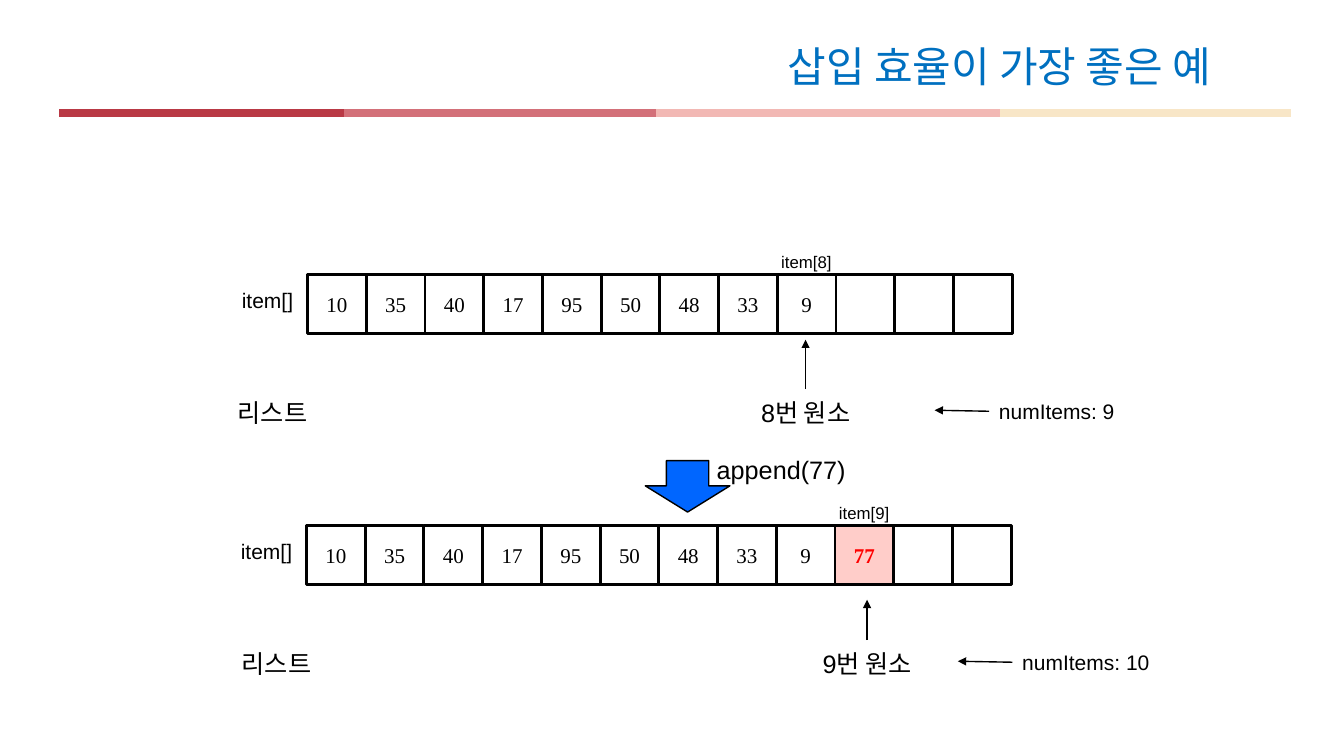
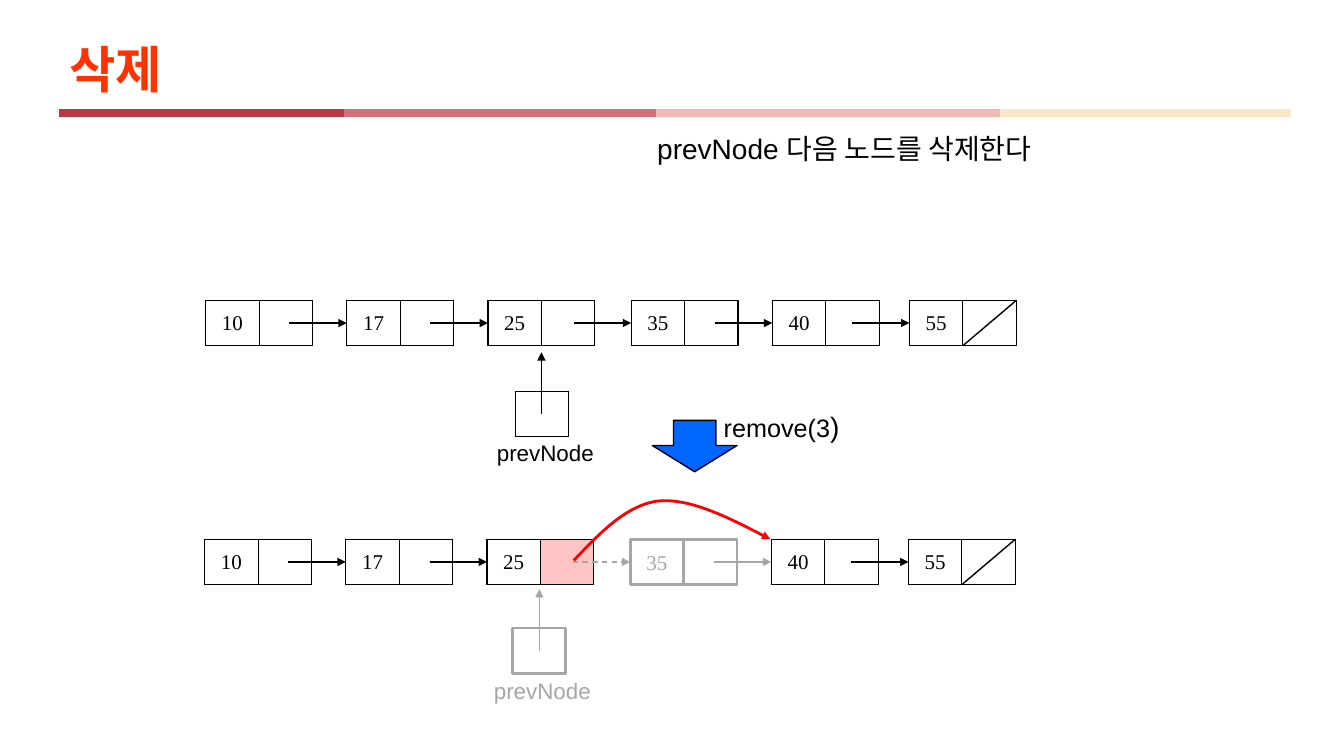
from dataclasses import dataclass
from typing import Any, Optional

import lxml.etree
import pptx
import pptx.dml.color
import pptx.enum.dml
import pptx.enum.shapes
import pptx.enum.text
import pptx.oxml.ns
import pptx.util

Inches = pptx.util.Inches
Pt = pptx.util.Pt
qn = pptx.oxml.ns.qn
SHAPE = pptx.enum.shapes.MSO_SHAPE
ALIGN = pptx.enum.text.PP_ALIGN
MIDDLE = pptx.enum.text.MSO_ANCHOR.MIDDLE
AUTO_SIZE = pptx.enum.text.MSO_AUTO_SIZE

COLORS = {
    "black": "000000", "gray": "A6A6A6", "red": "FF0000", "arrow": "0066FF",
    "new_cell": "FFCDC9", "changed_link": "FFC5C5",
    "blue_title": "0070C0", "orange_title": "FF3300",
    "band1": "B93945", "band2": "D37079", "band3": "F2B8B4", "band4": "F8E6C7",
}
SANS, SERIF, KOREAN = "Arial", "Times New Roman", "Noto Sans CJK KR"

BAND_Y = 1.12
BAND_STOPS = (0.59, 3.41, 6.51, 9.92, 12.8)

SLOTS = 12
SLOT_W, SLOT_H = 6.99 / SLOTS, 0.59

NODE_OFFSETS = (0, 1.4, 2.8, 4.22, 5.62, 6.98)
NODE_VALUES = (10, 17, 25, 35, 40, 55)
FIELD_W, NODE_H = 0.53, 0.45
LINK_LEN = 0.57


@dataclass
class ArrayState:
    left: float
    top: float
    values: tuple[int, ...]
    list_x: float
    element_x: float
    count_x: float
    count_w: float
    pointer_len: float
    has_new: bool = False


@dataclass
class ListState:
    left: float
    top: float
    removed: Optional[int] = None


@dataclass
class Pointer:
    """The prevNode variable: its box, its arrow and its label."""
    box_x: float
    box_y: float
    arrow_x: float
    label_x: float
    label_y: float
    color: str


ARRAYS = (
    ArrayState(3.05, 2.72, (10, 35, 40, 17, 95, 50, 48, 33, 9),
               2.26, 7.45, 9.81, 1.36, 0.49),
    ArrayState(3.04, 5.21, (10, 35, 40, 17, 95, 50, 48, 33, 9, 77),
               2.3, 8.06, 10.04, 1.48, 0.4, has_new=True),
)
LISTS = (ListState(2.04, 2.98), ListState(2.03, 5.35, removed=3))
POINTERS = (
    Pointer(5.11, 3.88, 5.37, 4.83, 4.31, "black"),
    Pointer(5.08, 6.23, 5.35, 4.8, 6.67, "gray"),
)


def rgb(color: str) -> pptx.dml.color.RGBColor:
    return pptx.dml.color.RGBColor.from_string(COLORS[color])


def write(tf: Any, text: str, *, size: float, font: str = SANS, color: str = "black",
          bold: bool = False, align: Any = None) -> None:
    """Append a formatted run to the first paragraph."""
    p = tf.paragraphs[0]
    if align is not None:
        p.alignment = align
    r = p.add_run()
    r.text = text
    r.font.size, r.font.name, r.font.bold = Pt(size), font, bold
    r.font.color.rgb = rgb(color)
    lxml.etree.SubElement(r.font._element, qn("a:ea"), typeface=KOREAN)


def write_value(tf: Any, value: int, color: str = "black", bold: bool = False) -> None:
    write(tf, str(value), size=15, font=SERIF, color=color, bold=bold, align=ALIGN.CENTER)


def add_label(slide: Any, x: float, y: float, w: float, h: float, text: str,
              size: float, color: str = "black") -> Any:
    tf = slide.shapes.add_textbox(Inches(x), Inches(y), Inches(w), Inches(h)).text_frame
    tf.word_wrap = False
    tf.auto_size = AUTO_SIZE.SHAPE_TO_FIT_TEXT
    write(tf, text, size=size, color=color)
    return tf


def style_line(sp: Any, color: str, width: float, dashed: bool = False,
               arrow: bool = False) -> None:
    sp.line.color.rgb = rgb(color)
    sp.line.width = Pt(width)
    if dashed:
        sp.line.dash_style = pptx.enum.dml.MSO_LINE.DASH
    if arrow:
        ln = sp._element.spPr.find(qn("a:ln"))
        lxml.etree.SubElement(ln, qn("a:tailEnd"), type="triangle")


def add_line(slide: Any, x1: float, y1: float, x2: float, y2: float,
             color: str = "black", width: float = 1, dashed: bool = False,
             arrow: bool = False) -> Any:
    line = slide.shapes.add_connector(
        pptx.enum.shapes.MSO_CONNECTOR.STRAIGHT,
        Inches(x1), Inches(y1), Inches(x2), Inches(y2))
    style_line(line, color, width, dashed, arrow)
    lxml.etree.SubElement(line._element.spPr, qn("a:effectLst"))
    return line


def set_fill(target: Any, fill: Optional[str]) -> None:
    if fill:
        target.fill.solid()
        target.fill.fore_color.rgb = rgb(fill)
    else:
        target.fill.background()


def add_box(slide: Any, x: float, y: float, w: float, h: float, *,
            kind: Any = SHAPE.RECTANGLE, fill: Optional[str] = None,
            line: str = "black", width: float = 2) -> Any:
    sp = slide.shapes.add_shape(kind, Inches(x), Inches(y), Inches(w), Inches(h))
    sp.shadow.inherit = False
    set_fill(sp, fill)
    style_line(sp, line, width)
    sp.text_frame.vertical_anchor = MIDDLE
    return sp


def add_node(slide: Any, x: float, y: float, fills: tuple[Optional[str], ...],
             value: Optional[int] = None) -> None:
    """Draw a one-row table with a field for each fill."""
    cols = len(fills)
    table = slide.shapes.add_table(1, cols, Inches(x), Inches(y),
                                   Inches(FIELD_W * cols), Inches(NODE_H)).table
    table.first_row = table.horz_banding = False
    for cell, fill in zip(table.iter_cells(), fills):
        cell.margin_left = cell.margin_right = Inches(0.07)
        cell.margin_top = cell.margin_bottom = Inches(0.04)
        cell.vertical_anchor = MIDDLE
        tc_pr = cell._tc.get_or_add_tcPr()
        for side in ("lnL", "lnR", "lnT", "lnB"):
            ln = lxml.etree.SubElement(tc_pr, qn(f"a:{side}"), w=str(int(Pt(1))))
            solid = lxml.etree.SubElement(ln, qn("a:solidFill"))
            lxml.etree.SubElement(solid, qn("a:srgbClr"), val=COLORS["black"])
        set_fill(cell, fill)
    if value is not None:
        write_value(table.cell(0, 0).text_frame, value)


def add_step_arrow(slide: Any, x: float, y: float) -> None:
    sp = add_box(slide, x, y, 0.84, 0.51, kind=SHAPE.DOWN_ARROW, fill="arrow", width=1)
    sp.adjustments[0], sp.adjustments[1] = 0.5, 0.51


def add_title_slide(prs: Any, text: str, left: float, top: float, width: float,
                    **text_format: Any) -> Any:
    slide = prs.slides.add_slide(prs.slide_layouts[5])
    title = slide.shapes.title
    title.left, title.top = Inches(left), Inches(top)
    title.width, title.height = Inches(width), Inches(0.79)
    tf = title.text_frame
    tf.auto_size = AUTO_SIZE.NONE
    tf.vertical_anchor = MIDDLE
    tf.paragraphs[0].line_spacing = 0.9
    write(tf, text, font=KOREAN, align=ALIGN.LEFT, **text_format)
    return slide


def put_band_on_layout(slide: Any) -> None:
    """Draw the band under the title and move it to the layout that slides share."""
    for i, (x1, x2) in enumerate(zip(BAND_STOPS, BAND_STOPS[1:]), start=1):
        line = add_line(slide, x1, BAND_Y, x2, BAND_Y, f"band{i}", 6)
        line._element.nvCxnSpPr.cNvPr.set("id", str(100 + i))
        slide.slide_layout.shapes._spTree.append(line._element)


def draw_array(slide: Any, a: ArrayState) -> None:
    last = len(a.values) - 1
    for i in range(SLOTS):
        is_new = a.has_new and i == last
        sp = add_box(slide, a.left + i * SLOT_W, a.top, SLOT_W, SLOT_H,
                     fill="new_cell" if is_new else None)
        if i <= last:
            write_value(sp.text_frame, a.values[i], "red" if is_new else "black", is_new)
    label_y = a.top + 1.17
    add_label(slide, a.left - 0.75, a.top + 0.08, 0.72, 0.35, "item[]", 15)
    add_label(slide, a.left + last * SLOT_W - 0.06, a.top - 0.27, 0.71, 0.3,
              f"item[{last}]", 12)
    add_label(slide, a.list_x, label_y, 0.96, 0.4, "리스트", 18)
    add_label(slide, a.element_x, label_y, 1.17, 0.4, f"{last}번 원소", 18)
    arrow_x, arrow_y = a.element_x + 0.54, label_y - 0.03
    add_line(slide, arrow_x, arrow_y, arrow_x, arrow_y - a.pointer_len, arrow=True)
    add_label(slide, a.count_x, label_y + 0.01, a.count_w, 0.35,
              f"numItems: {last + 1}", 15)
    add_line(slide, a.count_x, label_y + 0.19, a.count_x - 0.54, label_y + 0.18, arrow=True)


def draw_removed_node(slide: Any, x: float, y: float, value: int) -> Any:
    first, _ = [add_box(slide, x + i * FIELD_W, y, FIELD_W, NODE_H, line="gray")
                for i in range(2)]
    write_value(first.text_frame, value, "gray")
    return first


def draw_list(slide: Any, state: ListState) -> None:
    mid_y = state.top + NODE_H / 2
    for i, (offset, value) in enumerate(zip(NODE_OFFSETS, NODE_VALUES)):
        x = state.left + offset
        is_removed = i == state.removed
        box = None
        if is_removed:
            box = draw_removed_node(slide, x, state.top, value)
        else:
            is_changed = state.removed is not None and i == state.removed - 1
            add_node(slide, x, state.top, (None, "changed_link" if is_changed else None), value)
        if i:
            touches_removed = state.removed is not None and i - state.removed in (0, 1)
            link = add_line(slide, x - LINK_LEN, mid_y, x, mid_y,
                            "gray" if touches_removed else "black",
                            dashed=is_removed, arrow=True)
            if box is not None:
                link.end_connect(box, 1)
    end_x = state.left + NODE_OFFSETS[-1] + FIELD_W
    add_line(slide, end_x + FIELD_W, state.top, end_x, state.top + NODE_H)


def draw_pointer(slide: Any, pt: Pointer) -> None:
    if pt.color == "black":
        add_node(slide, pt.box_x, pt.box_y, (None,))
    else:
        add_box(slide, pt.box_x, pt.box_y, FIELD_W, NODE_H, line=pt.color)
    mid_y = pt.box_y + NODE_H / 2
    add_line(slide, pt.arrow_x, mid_y, pt.arrow_x, mid_y - 0.61, pt.color, arrow=True)
    add_label(slide, pt.label_x, pt.label_y, 1.17, 0.37, "prevNode", 16, pt.color)


def draw_bypass(slide: Any) -> None:
    """Draw the curved link over the removed node from two cubic curves."""
    curves = (((5.69, 5.56), (5.95, 5.29), (6.21, 5.01), (6.53, 4.97)),
              ((6.53, 4.97), (6.85, 4.94), (7.24, 5.14), (7.64, 5.35)))
    steps = 20
    points = []
    for curve in curves:
        for t in (k / steps for k in range(1, steps + 1)):
            weights = ((1 - t) ** 3, 3 * t * (1 - t) ** 2, 3 * t * t * (1 - t), t ** 3)
            points.append(tuple(Inches(sum(w * c[axis] for w, c in zip(weights, curve)))
                                for axis in (0, 1)))
    start_x, start_y = curves[0][0]
    builder = slide.shapes.build_freeform(Inches(start_x), Inches(start_y))
    builder.add_line_segments(points, close=False)
    sp = builder.convert_to_shape()
    sp.shadow.inherit = False
    sp.fill.background()
    style_line(sp, "red", 2, arrow=True)


def build_insert_slide(prs: Any) -> Any:
    slide = add_title_slide(prs, "삽입 효율이 가장 좋은 예", 7.71, 0.29, 5.49,
                            size=30, color="blue_title")
    for state in ARRAYS:
        draw_array(slide, state)
    add_label(slide, 7.01, 4.46, 1.49, 0.4, "append(77)", 18)
    add_step_arrow(slide, 6.4, 4.57)
    return slide


def build_remove_slide(prs: Any) -> None:
    slide = add_title_slide(prs, "삭제", 0.59, 0.32, 12.17,
                            size=36, color="orange_title", bold=True)
    for state in LISTS:
        draw_list(slide, state)
    draw_bypass(slide)
    for pointer in POINTERS:
        draw_pointer(slide, pointer)
    tf = add_label(slide, 7.08, 4.01, 1.36, 0.44, "remove(3", 18)
    write(tf, ")", size=20)
    add_step_arrow(slide, 6.47, 4.17)
    add_label(slide, 6.42, 1.26, 4.17, 0.44, "prevNode 다음 노드를 삭제한다", 20)


def main() -> None:
    prs = pptx.Presentation()
    prs.slide_width, prs.slide_height = Inches(13.33), Inches(7.5)
    put_band_on_layout(build_insert_slide(prs))
    build_remove_slide(prs)
    prs.save("out.pptx")


if __name__ == "__main__":
    main()
